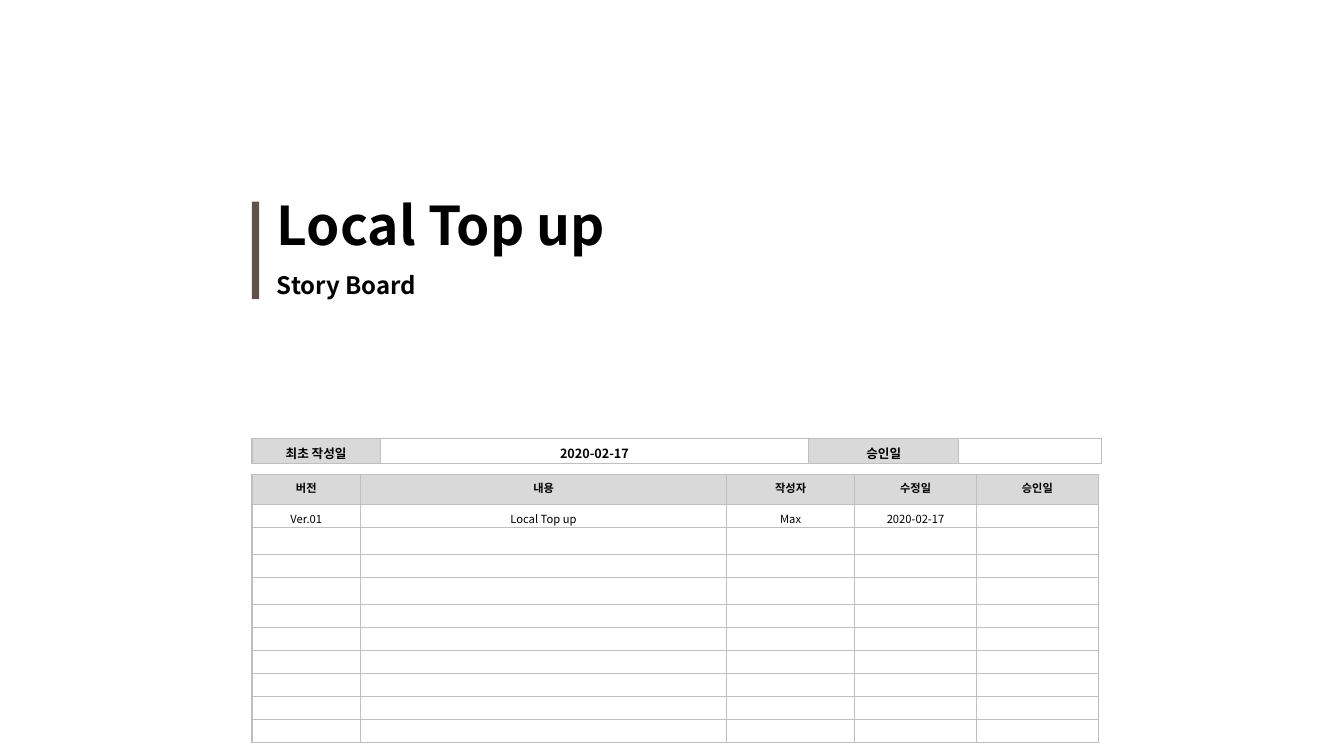
from pptx import Presentation
from pptx.dml.color import RGBColor
from pptx.enum.shapes import MSO_SHAPE
from pptx.enum.text import MSO_ANCHOR, PP_ALIGN
from pptx.oxml import parse_xml
from pptx.oxml.ns import nsdecls
from pptx.util import Cm, Pt
from lxml.etree import SubElement
from pptx.oxml.ns import qn

FONT = "Noto Sans CJK KR"
COLORS = {"text": "000000", "bar": "60514B", "label": "D9D9D9",
          "cell": "FFFFFF", "border": "BFBFBF"}
LEFT = 6.35
ROW, TALL_ROW, HEADER_ROW = 0.58, 0.68, 0.76
EMPTY_ROWS = 9
HISTORY_COLUMNS = [2.74, 9.22, 3.23, 3.07, 3.07]
HISTORY_HEIGHTS = [HEADER_ROW, ROW, TALL_ROW, ROW, TALL_ROW] + [ROW] * 6
HISTORY = [["버전", "내용", "작성자", "수정일", "승인일"],
           ["Ver.01", "Local Top up", "Max", "2020-02-17", ""],
           *[[""] * 5 for _ in range(EMPTY_ROWS)]]
DATE_COLUMNS = [3.23, 10.8, 3.78, 3.59]
DATES = [["최초 작성일", "2020-02-17", "승인일", ""]]


def paint(item, color):
    """Give a shape or a cell a solid fill."""
    item.fill.solid()
    item.fill.fore_color.rgb = RGBColor.from_string(COLORS[color])


def write(frame, text, size, bold=False, align=PP_ALIGN.LEFT):
    """Write one formatted paragraph, sizing it even when it is empty."""
    para = frame.paragraphs[0]
    para.alignment = align
    if not text:
        SubElement(para._p, qn("a:endParaRPr"), sz=str(size * 100))
        return
    span = para.add_run()
    span.text = text
    span.font.size = Pt(size)
    span.font.bold = bold
    span.font.name = FONT
    span.font.color.rgb = RGBColor.from_string(COLORS["text"])
    SubElement(span._r.get_or_add_rPr(), qn("a:ea"), typeface=FONT)


def add_heading(page, text, top, height, size):
    """Add a bold heading line beside the bar."""
    box = page.shapes.add_textbox(Cm(6.73), Cm(top), Cm(20.6), Cm(height))
    frame = box.text_frame
    frame.word_wrap = True
    frame.margin_top = frame.margin_bottom = 0
    frame.vertical_anchor = MSO_ANCHOR.MIDDLE
    write(frame, text, size, bold=True)


def add_bar(page):
    """Add the vertical bar left of the headings."""
    bar = page.shapes.add_shape(MSO_SHAPE.RECTANGLE, Cm(LEFT), Cm(5.08), Cm(0.18), Cm(2.46))
    bar.shadow.inherit = False
    bar.line.fill.background()
    paint(bar, "bar")


def add_borders(cell):
    """Draw thin lines on all four sides of a cell."""
    properties = cell._tc.get_or_add_tcPr()
    for index, side in enumerate(("lnL", "lnR", "lnT", "lnB")):
        properties.insert(index, parse_xml(
            f'<a:{side} {nsdecls("a")} w="12700"><a:solidFill>'
            f'<a:srgbClr val="{COLORS["border"]}"/></a:solidFill></a:{side}>'))


def add_grid(page, top, widths, heights, rows, size, is_label, is_bold):
    """Add a bordered table whose label and bold cells follow the given rules."""
    table = page.shapes.add_table(len(rows), len(widths), Cm(LEFT), Cm(top),
                                  Cm(sum(widths)), Cm(sum(heights))).table
    table.first_row = table.horz_banding = False
    for column, width in zip(table.columns, widths):
        column.width = Cm(width)
    for row, height in zip(table.rows, heights):
        row.height = Cm(height)
    for i, texts in enumerate(rows):
        for j, text in enumerate(texts):
            cell = table.cell(i, j)
            cell.margin_top, cell.margin_bottom = Cm(0.13), 0
            paint(cell, "label" if is_label(i, j) else "cell")
            add_borders(cell)
            write(cell.text_frame, text, size, bold=is_bold(i), align=PP_ALIGN.CENTER)


def main():
    """Build the storyboard cover with its version history."""
    deck = Presentation()
    deck.slide_width, deck.slide_height = Cm(33.87), Cm(19.05)
    page = deck.slides.add_slide(deck.slide_layouts[6])
    add_heading(page, "Story Board", 6.68, 0.99, 17.1)
    add_bar(page)
    add_heading(page, "Local Top up", 4.72, 1.88, 38.1)
    add_grid(page, 11.96, HISTORY_COLUMNS, HISTORY_HEIGHTS, HISTORY, 8,
             is_label=lambda i, j: i == 0, is_bold=lambda i: i == 0)
    add_grid(page, 11.05, DATE_COLUMNS, [0.62], DATES, 9,
             is_label=lambda i, j: j % 2 == 0, is_bold=lambda i: True)
    deck.save("out.pptx")


main()
